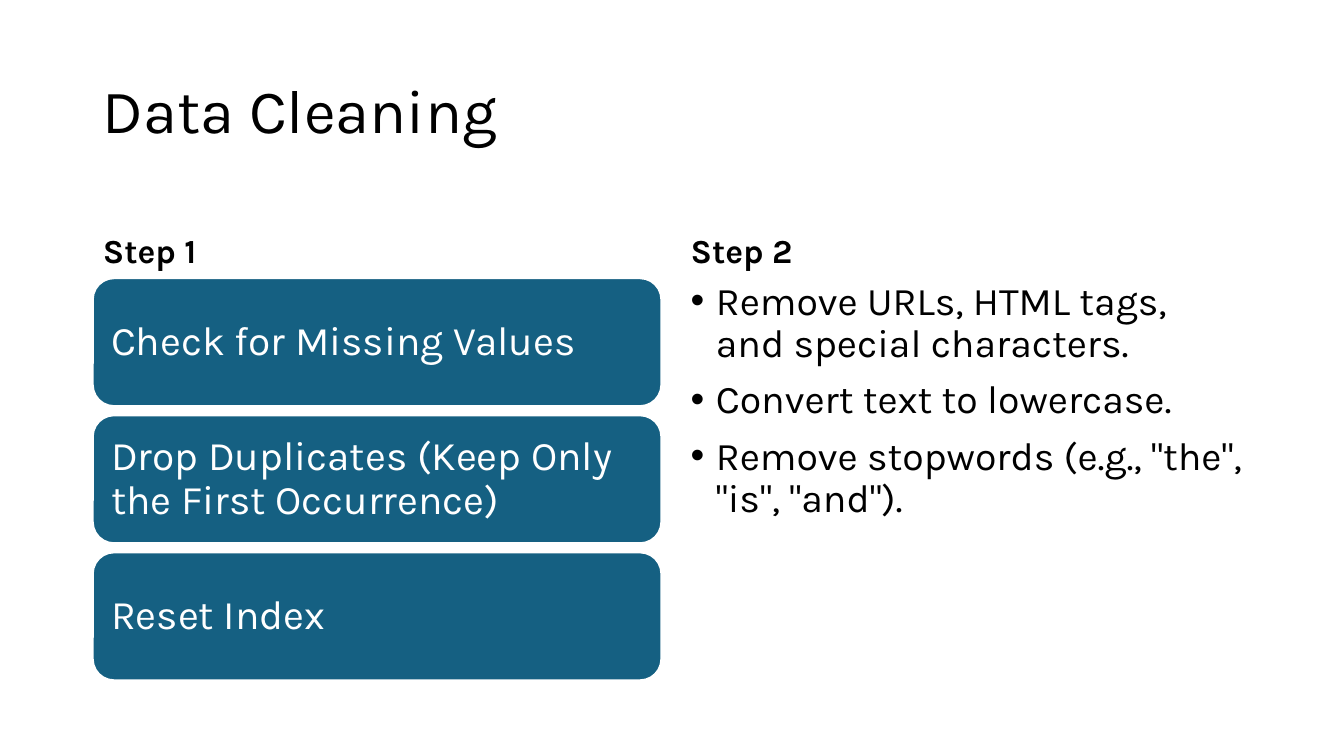
from pptx import Presentation
from pptx.dml.color import RGBColor
from pptx.enum.shapes import MSO_SHAPE
from pptx.enum.text import MSO_ANCHOR, MSO_AUTO_SIZE, PP_ALIGN
from pptx.util import Inches, Pt

FONT = "Karla"
BLACK, WHITE, BLUE = "000000", "FFFFFF", "156082"
LEFT, RIGHT = 0.92, 6.75
STEPS = ["Check for Missing Values",
         "Drop Duplicates (Keep Only the First Occurrence)",
         "Reset Index"]
RULES = ["Remove URLs, HTML tags, and special characters.",
         "Convert text to lowercase.",
         'Remove stopwords (e.g., "the", "is", "and").']


def color(code):
    return RGBColor.from_string(code)


class Page:
    """Style and current slide."""

    def __init__(self, deck):
        self.slide = deck.slides.add_slide(deck.slide_layouts[4])
        self.holders = {p.placeholder_format.idx: p
                        for p in self.slide.placeholders}

    def set_text(self, shape, lines, size, tint=BLACK, bold=False,
                 anchor=MSO_ANCHOR.MIDDLE, before=0):
        frame = shape.text_frame
        frame.text = "\n".join(lines)
        frame.word_wrap = True
        frame.auto_size = MSO_AUTO_SIZE.NONE
        frame.vertical_anchor = anchor
        for para in frame.paragraphs:
            para.alignment = PP_ALIGN.LEFT
            para.line_spacing = 0.9
            para.space_before = Pt(before)
            for run in para.runs:
                run.font.name = FONT
                run.font.size = Pt(size)
                run.font.bold = bold
                run.font.color.rgb = color(tint)

    def place(self, idx, left, top, width, height):
        holder = self.holders[idx]
        holder.left, holder.top = Inches(left), Inches(top)
        holder.width, holder.height = Inches(width), Inches(height)
        return holder

    def title(self, text):
        self.set_text(self.place(0, LEFT, 0.4, 11.5, 1.45), [text], 44)

    def head(self, idx, text, left, width):
        holder = self.place(idx, left, 1.84, width, 0.9)
        self.set_text(holder, [text], 24, bold=True,
                      anchor=MSO_ANCHOR.BOTTOM, before=10)

    def bullets(self, idx, lines):
        holder = self.place(idx, RIGHT, 2.74, 5.67, 4.03)
        self.set_text(holder, lines, 28, anchor=MSO_ANCHOR.TOP, before=10)
        for para in holder.text_frame.paragraphs:
            props = para._p.get_or_add_pPr()
            props.set("marL", str(Inches(0.25)))
            props.set("indent", str(Inches(-0.25)))

    def card(self, text, top):
        box = self.slide.shapes.add_shape(
            MSO_SHAPE.ROUNDED_RECTANGLE, Inches(LEFT), Inches(top),
            Inches(5.64), Inches(1.27))
        box.shadow.inherit = False
        box.fill.solid()
        box.fill.fore_color.rgb = color(BLUE)
        box.line.color.rgb = color(WHITE)
        box.line.width = Pt(1.5)
        frame = box.text_frame
        frame.margin_left = frame.margin_right = Inches(0.12)
        self.set_text(box, [text], 29, WHITE)

    def drop(self, idx):
        node = self.holders.pop(idx)._element
        node.getparent().remove(node)


def main():
    deck = Presentation()
    deck.slide_width, deck.slide_height = Inches(13.33), Inches(7.5)
    page = Page(deck)
    page.title("Data Cleaning")
    page.head(1, "Step 1", LEFT, 5.64)
    page.drop(2)
    for row, step in enumerate(STEPS):
        page.card(step, 2.76 + row * 1.36)
    page.head(3, "Step 2", RIGHT, 5.67)
    page.bullets(4, RULES)
    deck.save("out.pptx")


if __name__ == "__main__":
    main()
